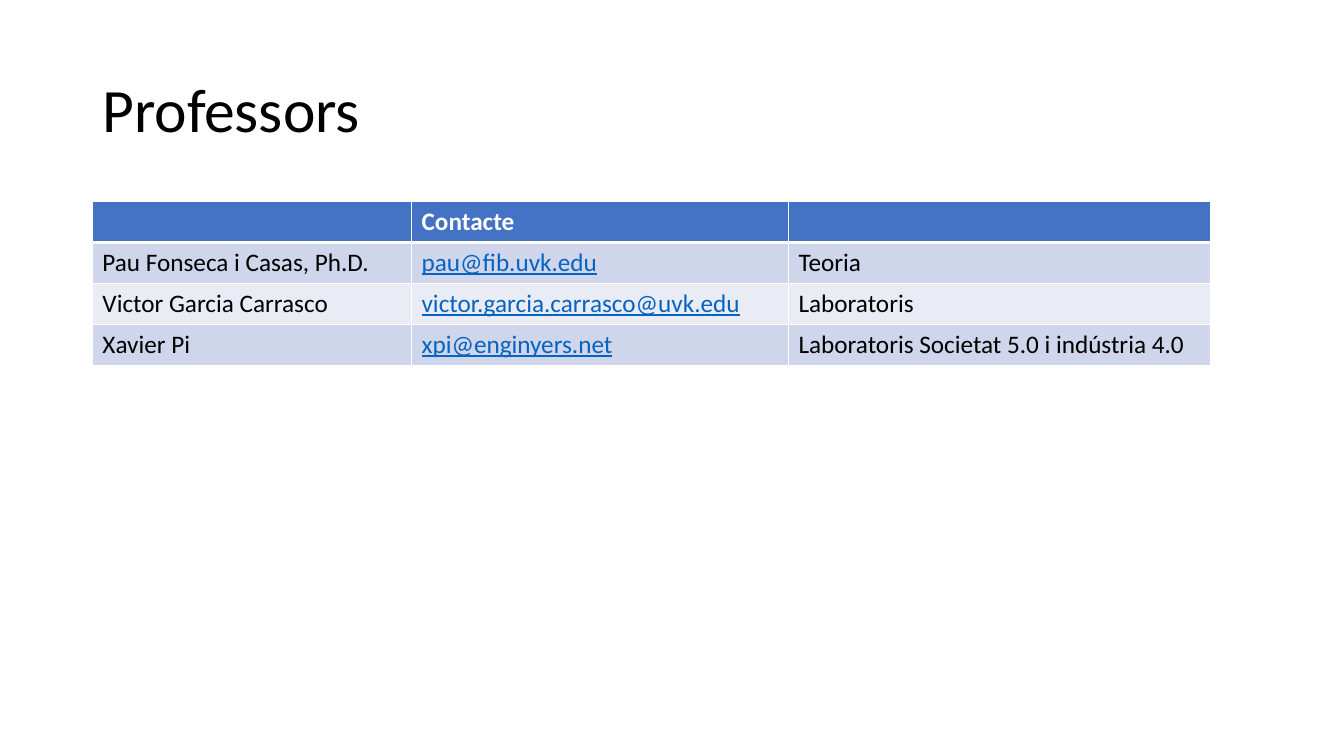
from pptx import Presentation
from pptx.dml.color import RGBColor as RGB
from pptx.enum.text import MSO_ANCHOR as Anchor
from pptx.oxml import parse_xml
from pptx.oxml.ns import nsdecls
from pptx.util import Pt

PX = 9525  # 96 px to the inch
COLORS = {"head": "4472C4", "odd": "CFD5EA", "even": "E9EBF5",
          "white": "FFFFFF", "black": "000000", "mail": "0563C1"}


def write(frame, text, size=18, color="black", bold=False, line=False):
    run = frame.paragraphs[0].add_run()
    run.text = text
    font = run.font
    font.name, font.size = "Calibri", Pt(size)
    font.bold, font.underline = bold, line
    font.color.rgb = RGB.from_string(COLORS[color])


def border(cell, side, width):
    cell._tc.get_or_add_tcPr().append(parse_xml(
        f'<a:ln{side} {nsdecls("a")} w="{Pt(width)}"><a:solidFill>'
        f'<a:srgbClr val="{COLORS["white"]}"/></a:solidFill></a:ln{side}>'))


deck = Presentation()
deck.slide_width, deck.slide_height = 1280 * PX, 720 * PX
slide = deck.slides.add_slide(deck.slide_layouts[6])

# Title
title = slide.shapes.add_textbox(88 * PX, 38 * PX, 1104 * PX, 139 * PX)
frame = title.text_frame
frame.word_wrap = True
frame.vertical_anchor = Anchor.MIDDLE
frame.paragraphs[0].line_spacing = 0.9
write(frame, "Professors", size=44)

# Table of professors
rows = [
    ("", "Contacte", ""),
    ("Pau Fonseca i Casas, Ph.D.", "pau@fib.uvk.edu", "Teoria"),
    ("Victor Garcia Carrasco", "victor.garcia.carrasco@uvk.edu", "Laboratoris"),
    ("Xavier Pi", "xpi@enginyers.net", "Laboratoris Societat 5.0 i indústria 4.0"),
]
widths = [304, 359, 402]
high = 39
table = slide.shapes.add_table(
    len(rows), len(widths), 88 * PX, 192 * PX,
    sum(widths) * PX, high * len(rows) * PX).table
for col, width in zip(table.columns, widths):
    col.width = width * PX

for r, row in enumerate(rows):
    table.rows[r].height = high * PX
    fill = "head" if r == 0 else "odd" if r % 2 else "even"
    for c, text in enumerate(row):
        cell = table.cell(r, c)
        # The rule below the header is thicker
        for side in "LRTB":
            thick = (r, side) in [(0, "B"), (1, "T")]
            border(cell, side, 3 if thick else 1)
        cell.fill.solid()
        cell.fill.fore_color.rgb = RGB.from_string(COLORS[fill])
        mail = r > 0 and c == 1
        color = "white" if r == 0 else "mail" if mail else "black"
        if text:
            write(cell.text_frame, text, color=color, bold=r == 0, line=mail)

deck.save("out.pptx")
